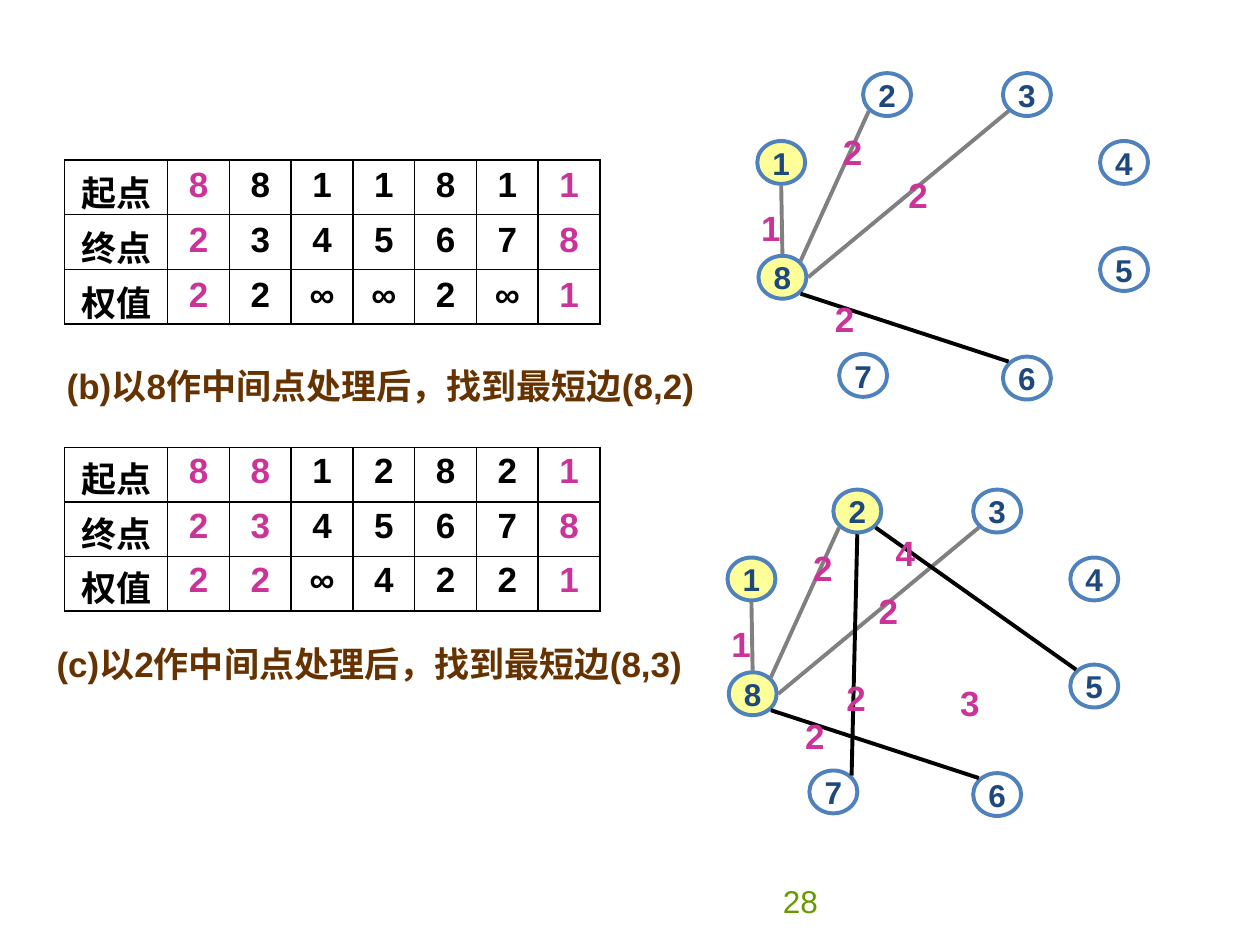
from lxml.etree import SubElement
from pptx import Presentation
from pptx.dml.color import RGBColor
from pptx.enum.shapes import MSO_CONNECTOR, MSO_SHAPE
from pptx.enum.text import MSO_ANCHOR, PP_ALIGN
from pptx.oxml.ns import qn
from pptx.util import Pt

COLORS = {
    "ink": "000000", "accent": "CC3399", "caption": "663300", "page": "669900",
    "node_line": "4F81BD", "node_text": "1F497D", "open": "FFFFFF",
    "reached": "FFFF99", "chosen": "808080", "candidate": "000000",
}
NODE_WIDTH, NODE_HEIGHT = 27.4, 24.5
NODES = {
    "3": (573.1, 41.8), "5": (628.6, 141.8), "2": (493.2, 41.8), "1": (432.7, 80.6),
    "8": (433.4, 146.2), "4": (628.6, 80.6), "7": (479.5, 202.3), "6": (573.1, 203.8),
}
DIAGONAL = 0.71
SIDES = {
    "top": (0, -1), "bottom": (0, 1), "right": (1, 0),
    "upper_left": (-DIAGONAL, -DIAGONAL), "upper_right": (DIAGONAL, -DIAGONAL),
    "lower_left": (-DIAGONAL, DIAGONAL), "lower_right": (DIAGONAL, DIAGONAL),
}
COMMON_EDGES = [
    ("3", "lower_left", "8", "right", "chosen"),
    ("8", "top", "1", "bottom", "chosen"),
    ("8", "upper_right", "2", "lower_left", "chosen"),
    ("6", "upper_left", "8", "lower_right", "candidate"),
]
EXTRA_EDGES = [
    ("7", "upper_right", "2", "bottom", "candidate"),
    ("5", "upper_left", "2", "lower_right", "candidate"),
]
COMMON_WEIGHTS = [("1", 427.8, 114.3), ("2", 474.6, 71), ("2", 512, 95.5), ("2", 470, 166.6)]
EXTRA_WEIGHTS = [("2", 493.6, 145), ("4", 521.7, 62.2), ("3", 558.5, 147.9)]
ROW_TITLES = ["起点", "终点", "权值"]


def color(key):
    """Return the palette colour for a key."""
    return RGBColor.from_string(COLORS[key])


def write(frame, text, size, key, bold=True, align=PP_ALIGN.LEFT):
    """Fill a text frame with one formatted paragraph."""
    frame.text = text
    paragraph = frame.paragraphs[0]
    paragraph.alignment = align
    font = paragraph.runs[0].font
    font.name, font.size, font.bold = "Arial", Pt(size), bold
    font.color.rgb = color(key)


def add_label(shapes, text, left, top, width, height, size, key, wrap=True, **style):
    """Add a text box and return its frame."""
    frame = shapes.add_textbox(Pt(left), Pt(top), Pt(width), Pt(height)).text_frame
    frame.word_wrap = wrap
    write(frame, text, size, key, **style)
    return frame


def add_borders(cell):
    """Draw a thin black line on every side of a cell."""
    properties = cell._tc.get_or_add_tcPr()
    for position, tag in enumerate(("a:lnL", "a:lnR", "a:lnT", "a:lnB")):
        line = properties.makeelement(qn(tag), {"w": str(Pt(1))})
        fill = SubElement(line, qn("a:solidFill"))
        SubElement(fill, qn("a:srgbClr"), val=COLORS["ink"])
        properties.insert(position, line)


def add_edge_table(slide, top, rows, accent_columns, margins):
    """Add a table of start points, end points and weights."""
    table = slide.shapes.add_table(3, 8, Pt(36.9), Pt(top), Pt(306), Pt(93.6)).table
    for index, column in enumerate(table.columns):
        column.width = Pt(35.3 if index else 58.9)
    for row, title, values in zip(table.rows, ROW_TITLES, rows):
        row.height = Pt(31.2)
        for index, text in enumerate([title, *values]):
            cell = row.cells[index]
            cell.fill.background()
            cell.margin_top, cell.margin_bottom = (Pt(margin) for margin in margins)
            key = "accent" if index in accent_columns else "ink"
            write(cell.text_frame, text, 20, key, align=PP_ALIGN.CENTER)
            add_borders(cell)


def add_node(shapes, number, left, top, fill_key):
    """Add a numbered graph node."""
    node = shapes.add_shape(MSO_SHAPE.OVAL, Pt(left), Pt(top), Pt(NODE_WIDTH), Pt(NODE_HEIGHT))
    node.shadow.inherit = False
    node.fill.solid()
    node.fill.fore_color.rgb = color(fill_key)
    node.line.color.rgb = color("node_line")
    node.line.width = Pt(2.25)
    node.text_frame.word_wrap = False
    node.text_frame.vertical_anchor = MSO_ANCHOR.MIDDLE
    write(node.text_frame, number, 18, "node_text", align=PP_ALIGN.CENTER)


def rim_point(number, side, dx, dy):
    """Return the point just outside a node's rim on the given side."""
    left, top = NODES[number]
    across, down = SIDES[side]
    x = left + dx + NODE_WIDTH / 2 + across * (NODE_WIDTH / 2 + 1)
    y = top + dy + NODE_HEIGHT / 2 + down * (NODE_HEIGHT / 2 + 1)
    return Pt(x), Pt(y)


def add_edge(shapes, start, end, key):
    """Add a straight graph edge between two points."""
    edge = shapes.add_connector(MSO_CONNECTOR.STRAIGHT, *start, *end)
    edge.line.color.rgb = color(key)
    edge.line.width = Pt(2.25)
    SubElement(edge._element.spPr, qn("a:effectLst"))


def add_graph(slide, dx, dy, reached, edges, weights):
    """Add a grouped graph shifted by the given offset."""
    shapes = slide.shapes.add_group_shape().shapes
    for number, (left, top) in NODES.items():
        add_node(shapes, number, left + dx, top + dy, "reached" if number in reached else "open")
    for start, start_side, end, end_side, key in edges:
        add_edge(shapes, rim_point(start, start_side, dx, dy), rim_point(end, end_side, dx, dy), key)
    for weight, left, top in weights:
        add_label(shapes, weight, left + dx, top + dy, 25.6, 31.2, 20, "accent", wrap=False)


def main():
    """Build the slide and save it."""
    deck = Presentation()
    deck.slide_width, deck.slide_height = Pt(720), Pt(540)
    slide = deck.slides.add_slide(deck.slide_layouts[6])
    page = add_label(slide.shapes, "28", 246, 500.4, 228.5, 28.8, 18, "page",
                     bold=False, align=PP_ALIGN.RIGHT)
    page.vertical_anchor = MSO_ANCHOR.MIDDLE

    add_edge_table(slide, 91.4, ["8811811", "2345678", "22∞∞2∞1"], {1, 7}, (3.6, 3.6))
    add_label(slide.shapes, "(b)以8作中间点处理后，找到最短边(8,2)", 31, 204.5, 373.7, 31.2, 20, "caption")
    add_graph(slide, 0, 0, {"1", "8"}, COMMON_EDGES, COMMON_WEIGHTS)

    add_edge_table(slide, 255.6, ["8812821", "2345678", "22∞4221"], {1, 2, 7}, (2.6, 0))
    add_label(slide.shapes, "(c)以2作中间点处理后，找到最短边(8,3)", 25.2, 363.6, 373, 31.2, 20, "caption")
    add_graph(slide, -17, 238, {"1", "2", "8"}, COMMON_EDGES + EXTRA_EDGES, COMMON_WEIGHTS + EXTRA_WEIGHTS)
    deck.save("out.pptx")


if __name__ == "__main__":
    main()
